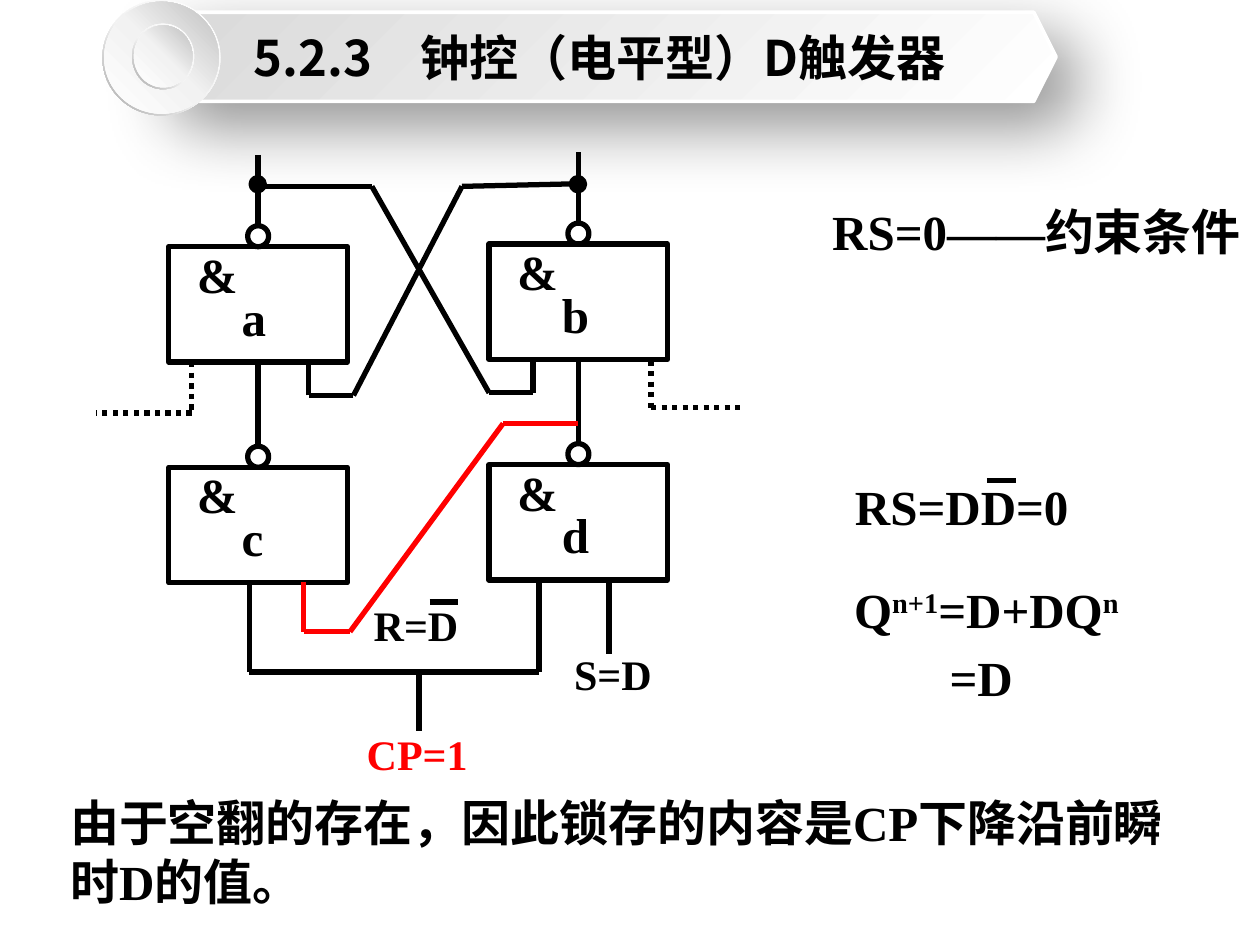
from pptx import Presentation
from pptx.dml.color import RGBColor
from pptx.enum.dml import MSO_LINE
from pptx.enum.shapes import MSO_CONNECTOR, MSO_SHAPE as SHP
from pptx.enum.text import MSO_ANCHOR, MSO_AUTO_SIZE, PP_ALIGN
from pptx.oxml import parse_xml
from pptx.oxml.ns import nsdecls, qn
from pptx.util import Pt

BLACK, WHITE, RED = "000000", "FFFFFF", "FF0000"
SERIF, CJK = "Times New Roman", "Noto Sans CJK SC"
GATE_W, GATE_H, BUBBLE = 102, 66, 12


def rgb(color):
    return RGBColor.from_string(color)


def write(tf, runs, size=28, color=BLACK, font=SERIF, align=PP_ALIGN.LEFT):
    """Fill a text frame; runs is a string or a list of (text, baseline percent)."""
    p = tf.paragraphs[0]
    p.alignment = align
    for text, raised in [(runs, 0)] if isinstance(runs, str) else runs:
        r = p.add_run()
        r.text = text
        r.font.size, r.font.bold, r.font.name = Pt(size), True, font
        r.font.color.rgb = rgb(color)
        rPr = r.font._element
        rPr.append(parse_xml(f'<a:ea {nsdecls("a")} typeface="{CJK}"/>'))
        if raised:
            rPr.set("baseline", str(raised * 1000))


def add_text(s, runs, x, y, w, h=41, wrap=True, **fmt):
    tf = s.shapes.add_textbox(Pt(x), Pt(y), Pt(w), Pt(h)).text_frame
    tf.word_wrap = wrap
    tf.auto_size = MSO_AUTO_SIZE.SHAPE_TO_FIT_TEXT
    write(tf, runs, **fmt)


def add_shape(s, kind, x, y, w, h, fill=None, line=BLACK, width=3):
    sp = s.shapes.add_shape(kind, Pt(x), Pt(y), Pt(w), Pt(h))
    sp.shadow.inherit = False
    if fill:
        sp.fill.solid()
        sp.fill.fore_color.rgb = rgb(fill)
    else:
        sp.fill.background()
    if line:
        sp.line.color.rgb = rgb(line)
        sp.line.width = Pt(width)
    else:
        sp.line.fill.background()
    return sp


def set_gradient(sp, angle, *stops):
    """Replace the empty fill by a gradient of (percent, colour) stops."""
    gs = "".join(f'<a:gs pos="{pos * 1000}"><a:srgbClr val="{color}"/></a:gs>'
                 for pos, color in stops)
    spPr = sp._element.spPr
    spPr.replace(spPr.find(qn("a:noFill")), parse_xml(
        f'<a:gradFill {nsdecls("a")} rotWithShape="1"><a:gsLst>{gs}</a:gsLst>'
        f'<a:lin ang="{angle * 60000}" scaled="0"/></a:gradFill>'))


def add_shadow(sp, alpha, blur, dist, angle):
    sp._element.spPr.find(qn("a:effectLst")).append(parse_xml(
        f'<a:outerShdw {nsdecls("a")} blurRad="{Pt(blur)}" dist="{Pt(dist)}" '
        f'dir="{angle * 60000}" algn="tl" rotWithShape="0"><a:srgbClr val="{BLACK}">'
        f'<a:alpha val="{alpha * 1000}"/></a:srgbClr></a:outerShdw>'))


def add_line(s, start, end, color=BLACK, dash=None):
    c = s.shapes.add_connector(MSO_CONNECTOR.STRAIGHT, *map(Pt, start + end))
    c.line.color.rgb = rgb(color)
    c.line.width = Pt(3)
    if dash:
        c.line.dash_style = dash
    c._element.spPr.append(parse_xml(f'<a:effectLst {nsdecls("a")}/>'))
    return c


def add_wire(s, *points, **fmt):
    """Draw a bent wire as one line per segment."""
    for start, end in zip(points, points[1:]):
        add_line(s, start, end, **fmt)


def add_gate(s, name, x, y):
    """Draw a NAND gate; return its body and its output bubble."""
    body = add_shape(s, SHP.RECTANGLE, x, y, GATE_W, GATE_H)
    bubble = add_shape(s, SHP.OVAL, x + (GATE_W - BUBBLE) / 2, y - BUBBLE, BUBBLE, BUBBLE)
    add_text(s, "&", x + 9, y - 5, 72)
    add_text(s, name, x + 34.5, y + 19.5, 51)
    return body, bubble


def add_title(s):
    banner = add_shape(s, SHP.HEXAGON, 81.5, 7, 522, 51, line=WHITE, width=2)
    set_gradient(banner, 225, (0, WHITE), (100, "D9D9D9"))
    add_shadow(banner, 42, 38, 19, 45)
    tf = banner.text_frame
    tf.vertical_anchor = MSO_ANCHOR.MIDDLE
    tf.word_wrap = False
    write(tf, "5.2.3　钟控（电平型）D触发器", font=CJK, align=PP_ALIGN.CENTER)
    for x, y, w, h in ((58.5, 0, 67.5, 66), (75.5, 13.5, 35.5, 37.5)):
        rim = add_shape(s, SHP.DONUT, x, y, w, h, line=None)
        rim.adjustments[0] = 0.049
        set_gradient(rim, 135, (0, WHITE), (55, "F2F2F2"), (100, "A6A6A6"))
        disc = add_shape(s, SHP.OVAL, x + 1, y + 1, w - 2, h - 2, line=None)
        set_gradient(disc, 315, (0, WHITE), (51, "F2F2F2"), (100, "BFBFBF"))


def add_circuit(s):
    gates = {name: add_gate(s, name, x, y) for name, x, y in (
        ("a", 96.5, 141), ("b", 279.5, 139.5), ("c", 96.5, 267), ("d", 279.5, 265.5))}
    for upper, lower, x, top in (("a", "c", 147.5, 88.5), ("b", "d", 330.5, 87)):
        body, bubble = gates[upper]
        add_line(s, (x, top), (x, top + 40)).end_connect(bubble, 0)
        link = add_line(s, (x, top + 118), (x, top + 166))
        link.begin_connect(body, 2)
        link.end_connect(gates[lower][1], 0)
        add_shape(s, SHP.OVAL, x - 4, 101.5, 7.5, 7.5, fill=BLACK)

    # cross-coupled feedback
    add_wire(s, (147.5, 106.5), (212.5, 106.5), (279.5, 224.5), (304.5, 224.5), (304.5, 205))
    add_wire(s, (330.5, 105), (264, 106.5), (202, 226), (176.5, 226), (176.5, 206.5))
    # unused set and reset inputs
    add_wire(s, (109.5, 207), (109.5, 236), (55, 236), dash=MSO_LINE.ROUND_DOT)
    add_wire(s, (372, 206), (372, 233), (425.5, 233), dash=MSO_LINE.ROUND_DOT)
    # clock and data inputs
    add_wire(s, (142.5, 333), (142.5, 384), (308, 384), (308, 331.5))
    add_wire(s, (239.5, 384), (239.5, 417.5))
    add_wire(s, (348, 331.5), (348, 374))
    add_wire(s, (173.5, 332.5), (173.5, 361), (200, 361), (287.5, 242), (330.5, 242), color=RED)

    add_text(s, "CP=1", 202.5, 412.5, 72.5, 36, wrap=False, size=24, color=RED)
    add_text(s, "S=D", 321, 367, 69, 36, size=24)
    add_text(s, "R=D", 206.5, 339, 69, 36, size=24)
    add_wire(s, (245.5, 344), (262, 344))


def add_equations(s):
    add_text(s, "RS=0——约束条件", 468.5, 111.5, 252)
    add_text(s, "RS=DD=0", 481.5, 268.5, 163)
    add_wire(s, (564, 274.5), (580.5, 274.5))
    add_text(s, [("Q", 0), ("n+1", 30), ("=D+DQ", 0), ("n", 30)], 481, 327.5, 178, wrap=False)
    add_text(s, "=D", 535.5, 366.5, 51, wrap=False)


def main():
    prs = Presentation()
    prs.slide_width, prs.slide_height = Pt(720), Pt(540)
    s = prs.slides.add_slide(prs.slide_layouts[6])
    add_title(s)
    add_circuit(s)
    add_equations(s)
    add_text(s, "由于空翻的存在，因此锁存的内容是CP下降沿前瞬时D的值。", 33, 449.5, 647, 75)
    prs.save("out.pptx")


if __name__ == "__main__":
    main()
